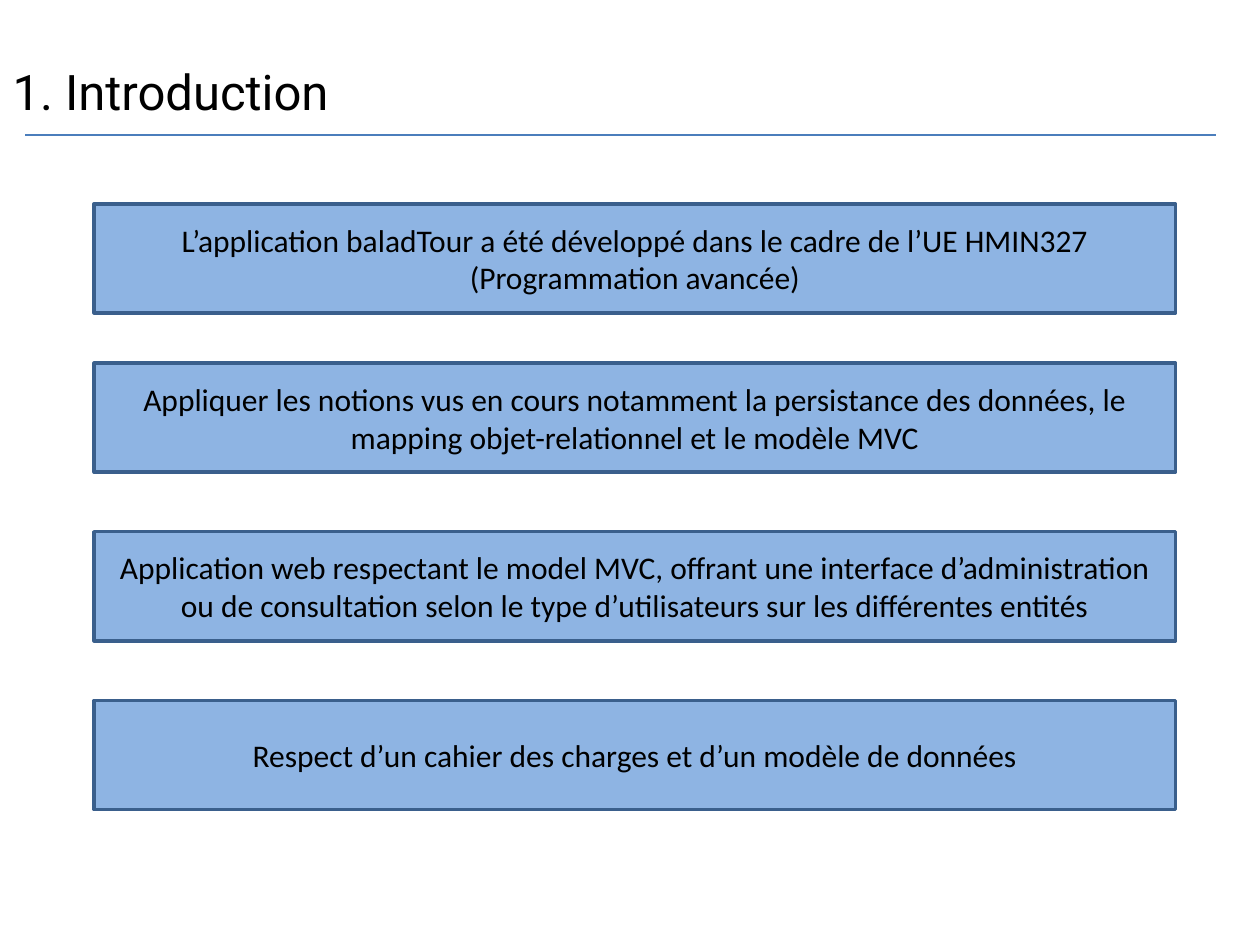
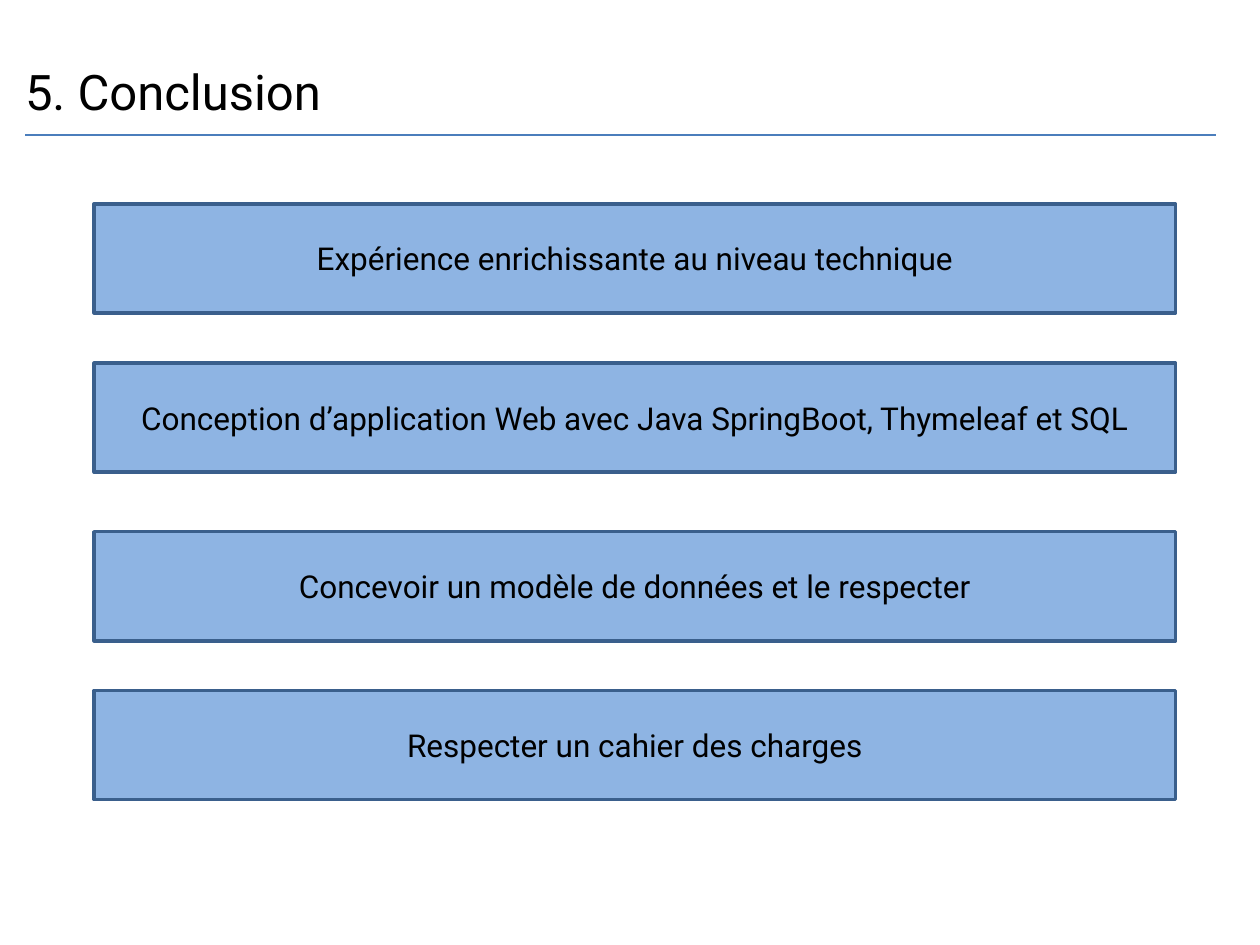
"""Builds the introduction and conclusion slides of a project talk."""
from lxml.etree import SubElement
from pptx import Presentation
from pptx.dml.color import RGBColor
from pptx.enum.shapes import MSO_CONNECTOR, MSO_SHAPE
from pptx.enum.text import MSO_ANCHOR, MSO_AUTO_SIZE, PP_ALIGN
from pptx.oxml.ns import qn
from pptx.util import Cm, Pt

COLORS = {"text": "000000", "box": "8EB4E3", "border": "3A5F8C", "rule": "4B7EBC"}
TITLE_FONT = "Roboto"

INTRODUCTION = [
    (4.11, "L’application baladTour a été développé dans le cadre de l’UE HMIN327 "
           "(Programmation avancée)"),
    (7.32, "Appliquer les notions vus en cours notamment la persistance des données, "
           "le mapping objet-relationnel et le modèle MVC"),
    (10.72, "Application web respectant le model MVC, offrant une interface "
            "d’administration ou de consultation selon le type d’utilisateurs "
            "sur les différentes entités"),
    (14.12, "Respect d’un cahier des charges et d’un modèle de données"),
]
CONCLUSION = [
    (4.11, "Expérience enrichissante au niveau technique"),
    (7.32, "Conception d’application Web avec Java SpringBoot, Thymeleaf et SQL"),
    (10.72, "Concevoir un modèle de données et le respecter"),
    (13.92, "Respecter un cahier des charges"),
]


def rgb(name):
    """Return the named colour."""
    return RGBColor.from_string(COLORS[name])


def write(sp, text, font=TITLE_FONT, size=18, align=PP_ALIGN.CENTER,
          anchor=MSO_ANCHOR.MIDDLE):
    """Fill a shape with one formatted paragraph."""
    tf = sp.text_frame
    tf.word_wrap = True
    tf.auto_size = MSO_AUTO_SIZE.NONE
    tf.vertical_anchor = anchor
    p = tf.paragraphs[0]
    p.alignment = align
    r = p.add_run()
    r.text = text
    r.font.name = font
    r.font.size = Pt(size)
    r.font.color.rgb = rgb("text")


def add_title(s, text, indent):
    """Place the slide title, shifted right by indent centimetres."""
    sp = s.shapes.title
    sp.left, sp.top, sp.width, sp.height = Cm(indent), Cm(1.12), Cm(12), Cm(2.64)
    write(sp, text, size=28, align=PP_ALIGN.LEFT, anchor=MSO_ANCHOR.TOP)


def add_rule(s):
    """Draw the line under the title."""
    rule = s.shapes.add_connector(MSO_CONNECTOR.STRAIGHT, Cm(0.51), Cm(2.72),
                                  Cm(24.51), Cm(2.72))
    rule.line.color.rgb = rgb("rule")
    rule.line.width = Pt(1.5)
    SubElement(rule._element.spPr, qn("a:effectLst"))


def add_box(s, top, text, font):
    """Add one bordered statement box."""
    sp = s.shapes.add_shape(MSO_SHAPE.RECTANGLE, Cm(1.9), Cm(top), Cm(21.8), Cm(2.2))
    sp.shadow.inherit = False
    sp.fill.solid()
    sp.fill.fore_color.rgb = rgb("box")
    sp.line.color.rgb = rgb("border")
    sp.line.width = Pt(2)
    write(sp, text, font=font)


def add_slide(prs, title, statements, font, indent=0):
    """Add a titled slide with a column of statement boxes."""
    s = prs.slides.add_slide(prs.slide_layouts[5])
    add_title(s, title, indent)
    add_rule(s)
    for top, text in statements:
        add_box(s, top, text, font)


def main():
    """Build and save the presentation."""
    prs = Presentation()
    prs.slide_width, prs.slide_height = Cm(25.4), Cm(19.05)
    add_slide(prs, "1. Introduction", INTRODUCTION, "Calibri")
    add_slide(prs, "5. Conclusion", CONCLUSION, "Roboto", indent=0.25)
    prs.save("out.pptx")


if __name__ == "__main__":
    main()
